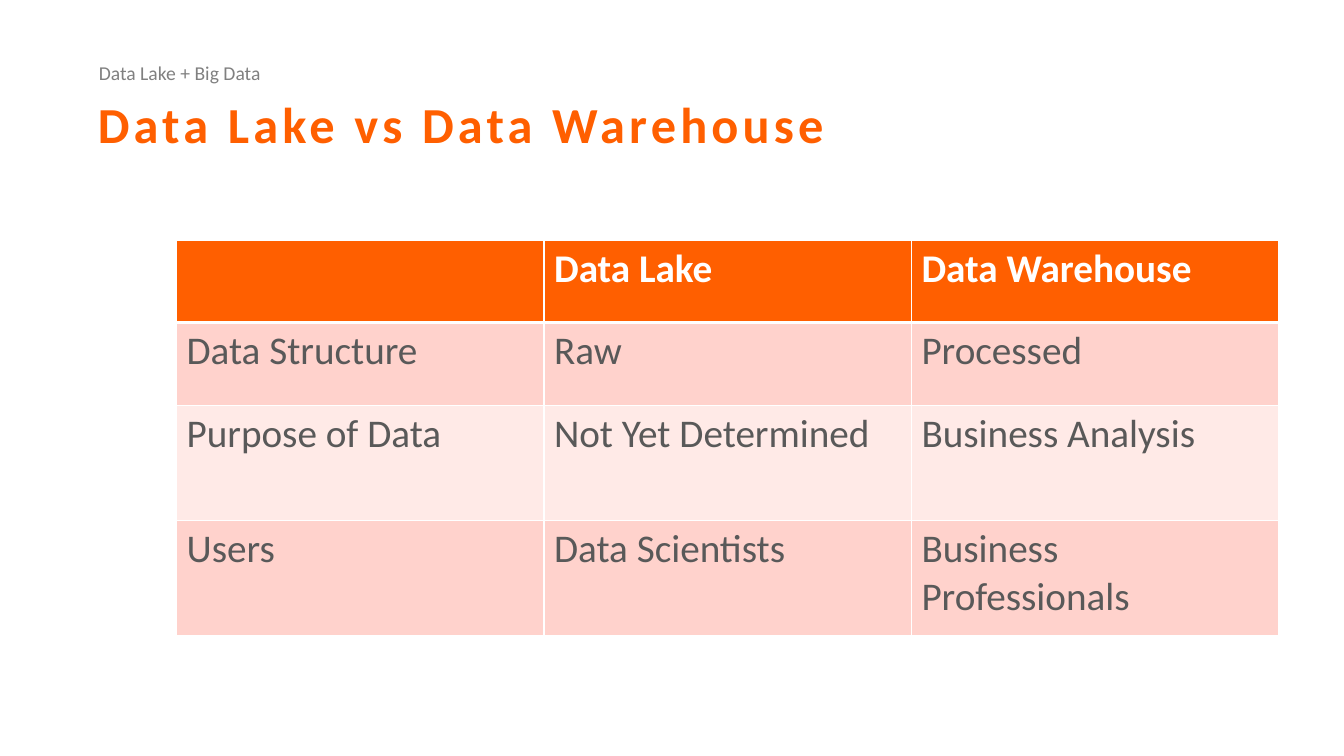
from lxml import etree
from pptx import Presentation
from pptx import util as u
from pptx.dml.color import RGBColor
from pptx.enum import text
from pptx.oxml import ns

ORANGE, WHITE, GREY, DARK = "FF5F00", "FFFFFF", "808080", "595959"
BANDS = ("FFD2CC", "FFEAE7")

COMPARISON = [
    ("", "Data Lake", "Data Warehouse"),
    ("Data Structure", "Raw", "Processed"),
    ("Purpose of Data", "Not Yet Determined", "Business Analysis"),
    ("Users", "Data Scientists", "Business Professionals"),
]
ROW_HEIGHTS = (2.08, 2.08, 2.9, 2.9)
COLUMN_WIDTH = 9.26


def colour(value):
    return RGBColor.from_string(value)


class SlideBuilder:
    """Holds the slide and its typeface."""

    def __init__(self, slide, typeface="Calibri"):
        self.slide = slide
        self.typeface = typeface

    def add_words(self, paragraph, words, size, hex_colour, bold=False):
        run = paragraph.add_run()
        run.text = words
        font = run.font
        font.name, font.size, font.bold = self.typeface, u.Pt(size), bold
        font.color.rgb = colour(hex_colour)
        return run

    def title(self, words, left, top, width, height):
        heading = self.slide.shapes.title
        heading.left, heading.top = u.Cm(left), u.Cm(top)
        heading.width, heading.height = u.Cm(width), u.Cm(height)
        frame = heading.text_frame
        frame.word_wrap = True
        frame.auto_size = text.MSO_AUTO_SIZE.NONE
        frame.vertical_anchor = text.MSO_ANCHOR.TOP
        paragraph = frame.paragraphs[0]
        paragraph.alignment = text.PP_ALIGN.LEFT
        paragraph.line_spacing = 0.9
        paragraph.space_before = u.Pt(0)
        run = self.add_words(paragraph, words, 36, ORANGE, bold=True)
        run.font._element.set("spc", "300")

    def label(self, words, left, top, width, height):
        box = self.slide.shapes.add_textbox(
            u.Cm(left), u.Cm(top), u.Cm(width), u.Cm(height))
        box.text_frame.word_wrap = True
        self.add_words(box.text_frame.paragraphs[0], words, 14, GREY)

    def border(self, cell, side, points):
        line = etree.SubElement(cell._tc.get_or_add_tcPr(),
                                ns.qn(f"a:ln{side}"), w=str(u.Pt(points)))
        fill = etree.SubElement(line, ns.qn("a:solidFill"))
        etree.SubElement(fill, ns.qn("a:srgbClr"), val=WHITE)

    def table(self, rows, left, top, column_width, row_heights):
        columns = len(rows[0])
        grid = self.slide.shapes.add_table(
            len(rows), columns, u.Cm(left), u.Cm(top),
            u.Cm(column_width * columns), u.Cm(sum(row_heights))).table
        for column in grid.columns:
            column.width = u.Cm(column_width)
        for r, (row, height) in enumerate(zip(rows, row_heights)):
            grid.rows[r].height = u.Cm(height)
            header = r == 0
            for c, words in enumerate(row):
                cell = grid.cell(r, c)
                # A thick rule separates the header from the body
                thick_side = {0: "B", 1: "T"}.get(r)
                for side in "LRTB":
                    self.border(cell, side, 3 if side == thick_side else 1)
                cell.fill.solid()
                cell.fill.fore_color.rgb = colour(
                    ORANGE if header else BANDS[(r - 1) % 2])
                if words:
                    self.add_words(cell.text_frame.paragraphs[0], words, 28,
                                   WHITE if header else DARK, bold=header)


def main():
    deck = Presentation()
    deck.slide_width, deck.slide_height = u.Cm(33.87), u.Cm(19.05)
    builder = SlideBuilder(deck.slides.add_slide(deck.slide_layouts[5]))

    # Heading
    builder.label("Data Lake + Big Data", 2.24, 1.4, 20.4, 0.86)
    builder.title("Data Lake vs Data Warehouse", 2.21, 2.39, 29.16, 2.67)

    # Comparison table
    builder.table(COMPARISON, 4.45, 6.05, COLUMN_WIDTH, ROW_HEIGHTS)

    deck.save("out.pptx")


if __name__ == "__main__":
    main()
